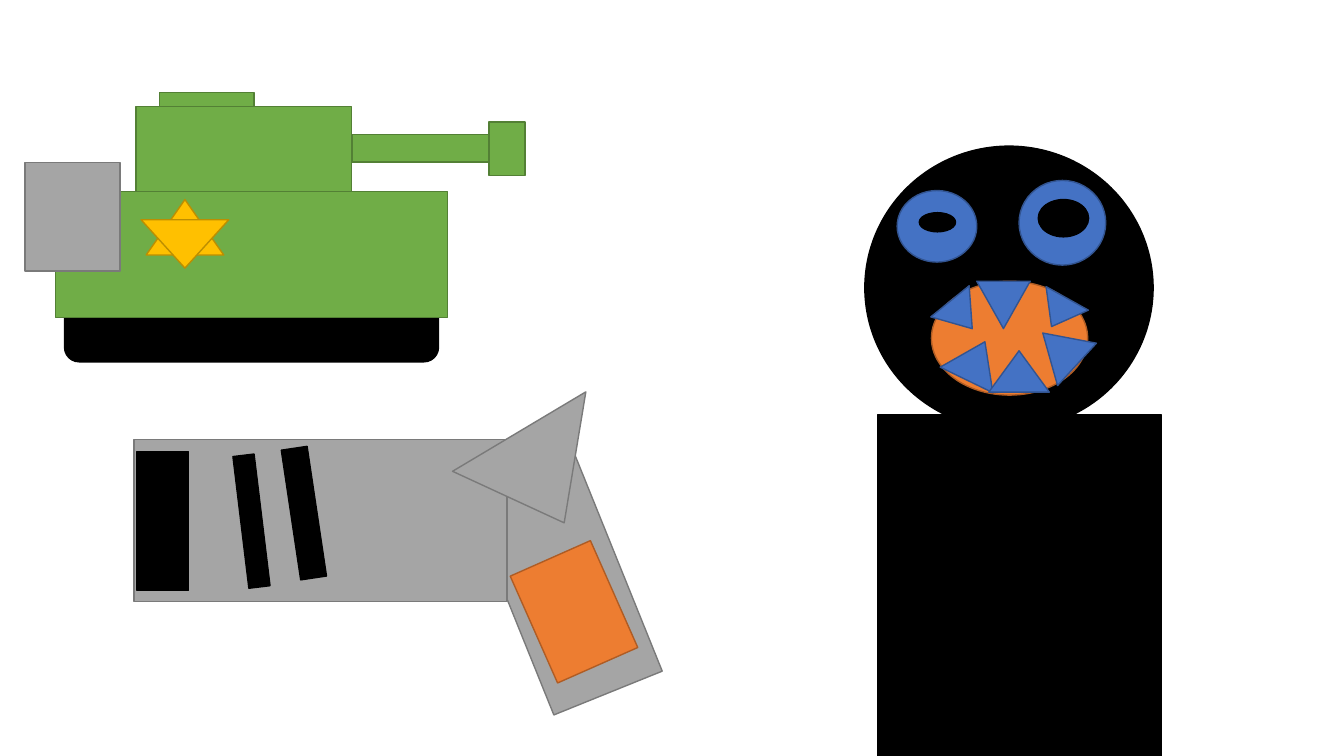
from dataclasses import dataclass

from pptx import Presentation
from pptx import util as u
from pptx.dml import color as c
from pptx.enum import shapes as s

KIND = s.MSO_SHAPE
RECT, OVAL = KIND.RECTANGLE, KIND.OVAL
UP, DOWN = KIND.FLOWCHART_EXTRACT, KIND.FLOWCHART_MERGE
MINUS = KIND.MATH_MINUS
CELL = u.Inches(0.1)
COLS, ROWS = 133.33, 75


@dataclass(frozen=True)
class Paint:
    fill: str
    line: str


@dataclass(frozen=True)
class Theme:
    black: Paint = Paint("000000", "000000")
    green: Paint = Paint("70AD47", "538035")
    gold: Paint = Paint("FFC000", "BD8E00")
    gray: Paint = Paint("A5A5A5", "7A7A7A")
    orange: Paint = Paint("ED7D31", "AF5C24")
    blue: Paint = Paint("4472C4", "325491")
    stroke: float = 1


@dataclass(frozen=True)
class Part:
    kind: KIND
    paint: Paint
    col: float
    row: float
    wide: float
    high: float
    turn: float = 0
    peak: float | None = None


THEME = Theme()

TANK = [
    Part(KIND.FLOWCHART_ALTERNATE_PROCESS, THEME.black, 6.4, 27.3, 37.1, 8.6),
    Part(RECT, THEME.green, 5.5, 19, 38.9, 12.5),
    Part(RECT, THEME.green, 13.5, 10.6, 21.4, 8.4),
    Part(MINUS, THEME.green, 32.4, 8.9, 19.1, 11.6),
    Part(RECT, THEME.green, 15.8, 9.2, 9.4, 1.4),
    Part(UP, THEME.gold, 14.5, 19.8, 7.7, 5.5),
    Part(DOWN, THEME.gold, 14, 21.8, 8.7, 4.8),
    Part(RECT, THEME.green, 48.5, 12.1, 3.6, 5.3),
    Part(RECT, THEME.gray, 2.5, 16.1, 9.4, 10.8),
]

HEAD = [
    Part(OVAL, THEME.black, 85.8, 14.5, 28.6, 28.1),
    Part(OVAL, THEME.orange, 92.4, 27.9, 15.5, 11.3),
]

TEETH = [
    Part(DOWN, THEME.blue, 92.9, 29.5, 4.9, 3.5, 320.9),
    Part(DOWN, THEME.blue, 96.9, 27.9, 5.3, 4.7),
    Part(DOWN, THEME.blue, 102.7, 29.4, 4.8, 3.2, 29.1),
    Part(UP, THEME.blue, 93.9, 33.7, 5.8, 4.2, 25.8),
    Part(UP, THEME.blue, 98.1, 34.8, 6, 4.1),
    Part(UP, THEME.blue, 102.3, 32.3, 5.7, 4.6, 312.5),
]

EYES = [
    Part(OVAL, THEME.blue, 89, 18.9, 7.9, 7.1),
    Part(OVAL, THEME.blue, 101.1, 17.9, 8.6, 8.4),
    Part(OVAL, THEME.black, 91.2, 21.1, 3.6, 1.9),
    Part(OVAL, THEME.black, 103, 19.8, 5, 3.7),
]

BODY = [Part(RECT, THEME.black, 87.1, 41.1, 28.1, 33.9)]

GUN = [
    Part(RECT, THEME.gray, 50.2, 46.5, 11.6, 23.1, 338),
    Part(RECT, THEME.gray, 13.3, 43.6, 37, 16.1),
    Part(KIND.ISOSCELES_TRIANGLE, THEME.gray, 47, 37.2, 12.2, 12.7, 24.8, 0.713),
    Part(RECT, THEME.black, 13.6, 44.8, 5.1, 13.8),
    Part(RECT, THEME.orange, 52.6, 54.9, 8.7, 11.6, 336.1),
    Part(MINUS, THEME.black, 16, 47.2, 17.9, 9, 263.1),
    Part(MINUS, THEME.black, 21.3, 45.4, 17.7, 11, 261.5),
]


def span(cells: float) -> int:
    return round(cells * CELL)


def draw(slide, part: Part) -> None:
    box = map(span, (part.col, part.row, part.wide, part.high))
    shape = slide.shapes.add_shape(part.kind, *box)
    shape.rotation = part.turn
    shape.shadow.inherit = False
    shape.fill.solid()
    shape.fill.fore_color.rgb = c.RGBColor.from_string(part.paint.fill)
    shape.line.color.rgb = c.RGBColor.from_string(part.paint.line)
    shape.line.width = u.Pt(THEME.stroke)
    if part.peak is not None:
        shape.adjustments[0] = part.peak


def main() -> None:
    deck = Presentation()
    deck.slide_width, deck.slide_height = span(COLS), span(ROWS)
    slide = deck.slides.add_slide(deck.slide_layouts[6])
    for group in (TANK, HEAD, TEETH, EYES, BODY, GUN):
        for part in group:
            draw(slide, part)
    deck.save("out.pptx")


if __name__ == "__main__":
    main()
